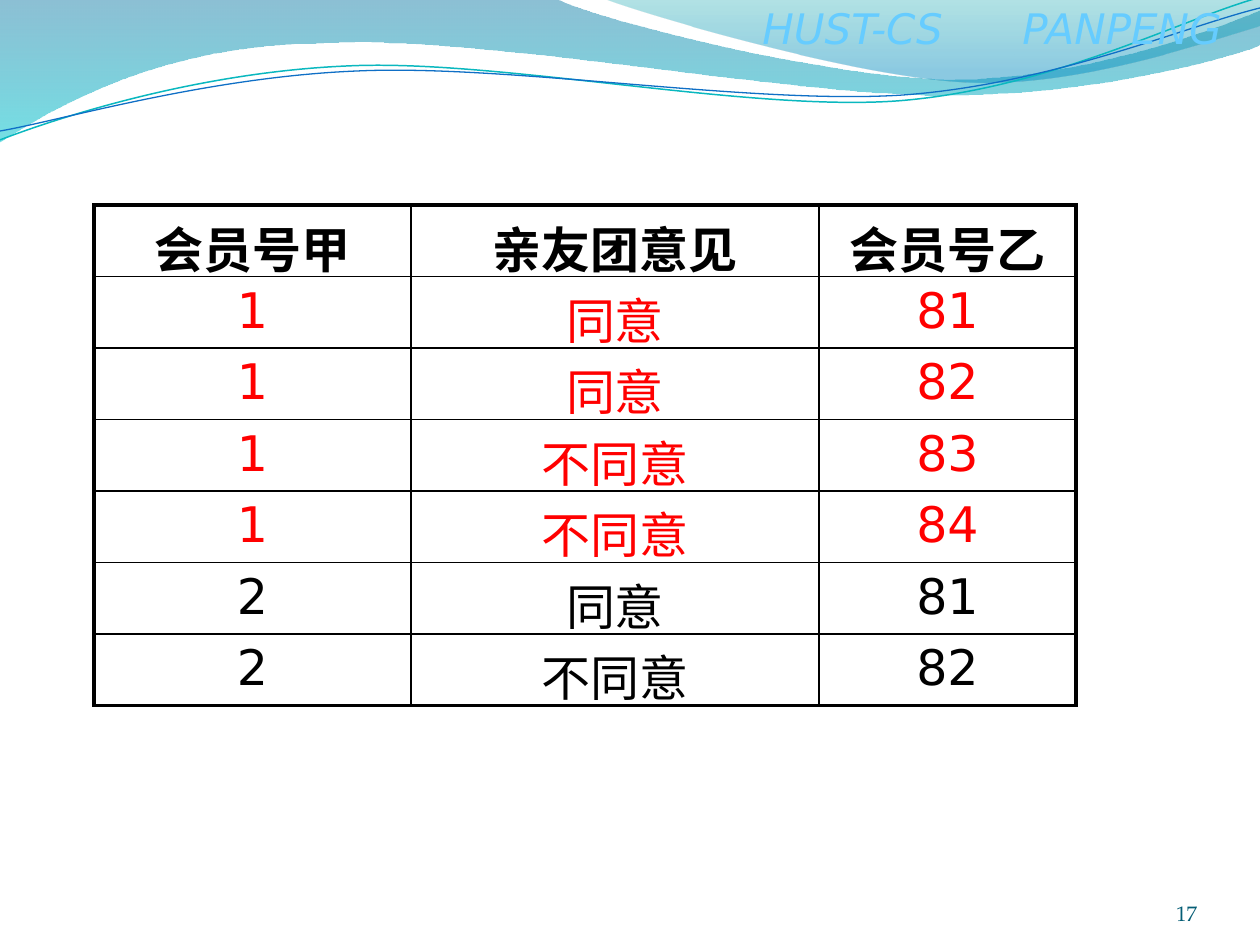
import math

import lxml.etree
import pptx
import pptx.dml.color
import pptx.enum.text
import pptx.oxml
import pptx.oxml.ns
import pptx.util

PX = 914400 / 126
SANS, SERIF = "DejaVu Sans", "TeX Gyre Pagella"
BLACK, RED = "000000", "FF0000"
ALIGN = pptx.enum.text.PP_ALIGN
ANCHOR = pptx.enum.text.MSO_ANCHOR
qn = pptx.oxml.ns.qn


def px(value):
    return pptx.util.Emu(round(value * PX))


def color(value):
    return pptx.dml.color.RGBColor.from_string(value)


def write(frame, text, size, font, fill, bold=False, italic=False, align=ALIGN.LEFT):
    para = frame.paragraphs[0]
    para.alignment = align
    span = para.add_run()
    span.text = text
    span.font.size = pptx.util.Pt(size)
    span.font.name = font
    span.font.bold = bold
    span.font.italic = italic
    span.font.color.rgb = color(fill)
    return para


def add_path(page, box, segments, close=False):
    """Outline of segments: one point is a line, three points are a Bezier curve."""
    left, top = box
    places = [(px(left + x), px(top + y)) for segment in segments for x, y in segment]
    builder = page.shapes.build_freeform(*places[0], scale=1.0)
    builder.add_line_segments(places[1:], close=close)
    shape = builder.convert_to_shape()
    shape.shadow.inherit = False
    lines = iter(list(shape._element.iter(qn("a:lnTo"))))
    for segment in segments[1:]:
        group = [next(lines) for _ in segment]
        if len(group) == 3:
            curve = lxml.etree.Element(qn("a:cubicBezTo"))
            group[0].addprevious(curve)
            for line in group:
                curve.append(line[0])
                line.getparent().remove(line)
    return shape


def add_wave(page, box, segments, stops):
    """Filled wave with a vertical gradient of (position %, color, opacity %) stops."""
    shape = add_path(page, box, segments, close=True)
    shape.line.fill.background()
    shape.fill.gradient()
    gradient = shape._element.spPr.find(qn("a:gradFill"))
    gradient.find(qn("a:lin")).set("ang", "5400000")
    stop_list = gradient.find(qn("a:gsLst"))
    for old in list(stop_list):
        stop_list.remove(old)
    for position, value, opacity in stops:
        stop = lxml.etree.SubElement(stop_list, qn("a:gs"), pos=str(position * 1000))
        tone = lxml.etree.SubElement(stop, qn("a:srgbClr"), val=value)
        lxml.etree.SubElement(tone, qn("a:alpha"), val=str(opacity * 1000))


def add_strand(page, box, center, segments, value, width, tilt=-2.7):
    """Thin line whose shape is turned by tilt degrees; points are given as they appear."""
    cos, sin = math.cos(math.radians(-tilt)), math.sin(math.radians(-tilt))
    cx, cy = center
    level = [[(cx + (x - cx) * cos - (y - cy) * sin, cy + (x - cx) * sin + (y - cy) * cos)
              for x, y in segment] for segment in segments]
    shape = add_path(page, box, level)
    shape.rotation = tilt
    shape.fill.background()
    shape.line.color.rgb = color(value)
    shape.line.width = pptx.util.Pt(width)


def add_header_waves(page, box):
    add_wave(page, box,
             [[(0, -1)], [(556, -1)],
              [(600, 21), (837, 79), (955, 79)], [(1075, 79), (1207, 33), (1260, 11)],
              [(1261, 45)],
              [(1239, 55), (1096, 96), (940, 95)], [(784, 95), (481, 35), (324, 43)],
              [(163, 44), (58, 105), (-1, 142)]],
             [(0, "0074A1", 45), (100, "00C6CF", 55)])
    add_wave(page, box,
             [[(604, -1)],
              [(641, 14), (859, 78), (969, 82)], [(1079, 87), (1211, 40), (1260, 26)],
              [(1260, 0)]],
             [(0, "00A1A9", 30), (80, "008BBF", 45)])
    add_strand(page, box, (629, 73),
               [[(0, 140)], [(60, 117), (199, 72), (349, 66)],
                [(498, 59), (747, 112), (898, 101)], [(1050, 89), (1182, 19), (1258, -2)]],
               "0AB8BF", 0.85)
    add_strand(page, box, (629, 74),
               [[(0, 131)], [(59, 121), (207, 77), (357, 71)],
                [(508, 64), (752, 105), (903, 95)], [(1053, 84), (1186, 26), (1260, 8)]],
               "0F6FC6", 0.75)


def add_author_line(page, box):
    frame = page.shapes.add_textbox(*map(px, box)).text_frame
    frame.word_wrap = True
    para = write(frame, "HUST-CS\tPANPENG", 24, SANS, "66CCFF", italic=True)
    tabs = lxml.etree.SubElement(para._p.get_or_add_pPr(), qn("a:tabLst"))
    lxml.etree.SubElement(tabs, qn("a:tab"), pos=str(px(260)), algn="l")


def add_page_number(page, box):
    frame = page.shapes.add_textbox(*map(px, box)).text_frame
    frame.word_wrap = True
    frame.margin_left = frame.margin_right = frame.margin_top = frame.margin_bottom = 0
    frame.vertical_anchor = ANCHOR.BOTTOM
    write(frame, "17", 12, SERIF, "045D75", align=ALIGN.RIGHT)


def set_borders(cell, widths):
    """Draw black borders; widths are in points, for left, right, top, bottom."""
    properties = cell._tc.get_or_add_tcPr()
    for index, (side, width) in enumerate(zip("LRTB", widths)):
        line = pptx.oxml.parse_xml(
            f'<a:ln{side} {pptx.oxml.ns.nsdecls("a")} w="{pptx.util.Pt(width)}">'
            f'<a:solidFill><a:srgbClr val="{BLACK}"/></a:solidFill></a:ln{side}>')
        properties.insert(index, line)


def add_opinion_table(page, box):
    rows = [("会员号甲", "亲友团意见", "会员号乙"),
            ("1", "同意", "81"), ("1", "同意", "82"),
            ("1", "不同意", "83"), ("1", "不同意", "84"),
            ("2", "同意", "81"), ("2", "不同意", "82")]
    widths = (317, 408, 257)
    last_row, last_column = len(rows) - 1, len(widths) - 1
    table = page.shapes.add_table(len(rows), len(widths), *map(px, box)).table
    table.horz_banding = False
    for column, width in zip(table.columns, widths):
        column.width = px(width)
    for r, values in enumerate(rows):
        table.rows[r].height = px(box[3] / len(rows))
        for c, value in enumerate(values):
            cell = table.cell(r, c)
            cell.fill.background()
            write(cell.text_frame, value, 28, SANS, RED if values[0] == "1" else BLACK,
                  bold=r == 0, align=ALIGN.CENTER)
            outer = (c == 0, c == last_column, r == 0, r == last_row)
            set_borders(cell, [2.25 if edge else 1 for edge in outer])


def main():
    deck = pptx.Presentation()
    deck.slide_width, deck.slide_height = px(1260), px(945)
    page = deck.slides.add_slide(deck.slide_layouts[6])
    add_header_waves(page, (0, 0))
    add_author_line(page, (750, -4, 510, 63))
    add_page_number(page, (1092, 876, 105, 50))
    add_opinion_table(page, (94, 205, 982, 500))
    deck.save("out.pptx")


if __name__ == "__main__":
    main()
